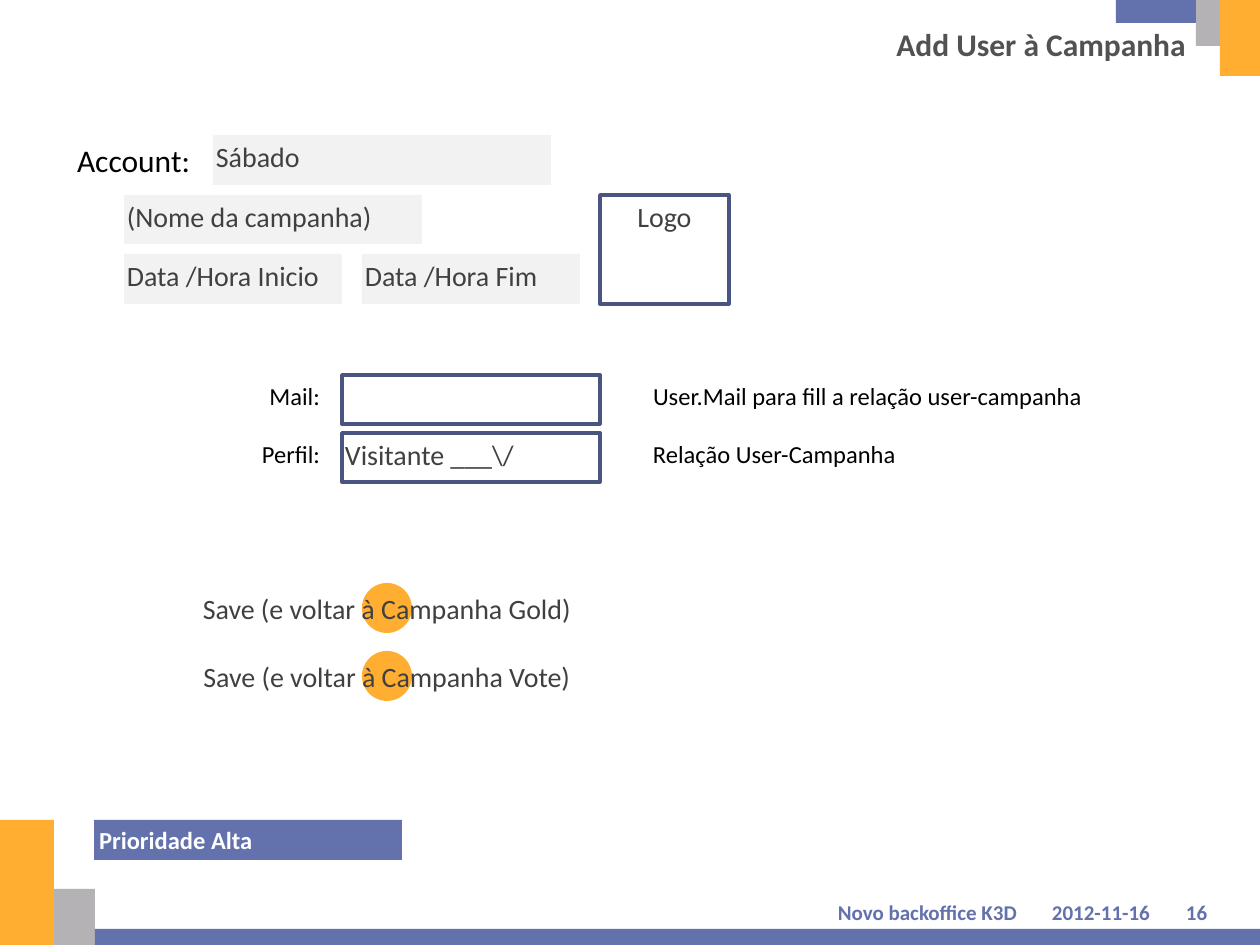
import pptx
import pptx.util
import pptx.dml.color
import pptx.enum.shapes
import pptx.enum.text

RGB = pptx.dml.color.RGBColor
ORANGE = RGB(0xFF, 0xAE, 0x31)
GREY = RGB(0xB5, 0xB2, 0xB5)
BLUE = RGB(0x63, 0x71, 0xAD)
NAVY = RGB(0x49, 0x54, 0x80)
FIELD = RGB(0xF2, 0xF2, 0xF2)
TITLE = RGB(0x52, 0x52, 0x52)
DARK = RGB(0x40, 0x40, 0x40)
BLACK = RGB(0, 0, 0)
WHITE = RGB(0xFF, 0xFF, 0xFF)

SHAPE = pptx.enum.shapes.MSO_SHAPE
ANCHOR = pptx.enum.text.MSO_ANCHOR
ALIGN = pptx.enum.text.PP_ALIGN
LEFT, CENTER, RIGHT = ALIGN.LEFT, ALIGN.CENTER, ALIGN.RIGHT
PX = 914400 / 126


def add_shape(box, fill=None, kind=SHAPE.RECTANGLE):
    sp = s.shapes.add_shape(kind, *[round(v * PX) for v in box])
    sp.shadow.inherit = False
    if fill is None:
        sp.fill.background()
        sp.line.color.rgb = NAVY
        sp.line.width = pptx.util.Pt(2)
    else:
        sp.fill.solid()
        sp.fill.fore_color.rgb = fill
        sp.line.fill.background()
    return sp


def write(sp, text, size, color, align=LEFT, bold=False, insets=(13, 6, 13, 6),
          anchor=ANCHOR.TOP, wrap=True):
    tf = sp.text_frame
    tf.word_wrap = wrap
    tf.vertical_anchor = anchor
    tf.margin_left, tf.margin_top, tf.margin_right, tf.margin_bottom = [
        round(v * PX) for v in insets]
    p = tf.paragraphs[0]
    p.alignment = align
    r = p.add_run()
    r.text = text
    r.font.name = "Calibri"
    r.font.size = pptx.util.Pt(size)
    r.font.bold = bold
    r.font.color.rgb = color


prs = pptx.Presentation()
prs.slide_width = pptx.util.Inches(10)
prs.slide_height = pptx.util.Inches(7.5)
s = prs.slides.add_slide(prs.slide_layouts[5])

for box, fill in [
    ((0, 820, 54, 125), ORANGE),
    ((54, 889, 41, 56), GREY),
    ((95, 929, 1165, 16), BLUE),
    ((1220, 0, 40, 76), ORANGE),
    ((1196, 0, 24, 46), GREY),
    ((1116, 0, 80, 23), BLUE),
]:
    add_shape(box, fill)

title = s.shapes.title
title.left, title.top, title.width, title.height = [
    round(v * PX) for v in (602, 19, 597, 49)]
write(title, "Add User à Campanha", 18, TITLE, RIGHT, True, anchor=ANCHOR.MIDDLE)

for left, width, text, align in [
    (1037, 128, "2012-11-16", CENTER),
    (779, 248, "Novo backoffice K3D", RIGHT),
    (1176, 49, "16", LEFT),
]:
    sp = s.shapes.add_textbox(*[round(v * PX) for v in (left, 890, width, 35)])
    write(sp, text, 12, BLUE, align, True, (10, 10, 10, 0), ANCHOR.MIDDLE)

for box, fill, text, align in [
    ((213, 135, 338, 50), FIELD, "Sábado", LEFT),
    ((124, 195, 298, 49), FIELD, "(Nome da campanha)", LEFT),
    ((124, 254, 218, 50), FIELD, "Data /Hora Inicio", LEFT),
    ((362, 254, 218, 50), FIELD, "Data /Hora Fim", LEFT),
    ((600, 195, 129, 109), None, "Logo", CENTER),
    ((342, 375, 258, 49), None, "", LEFT),
    ((342, 433, 258, 49), None, "Visitante ___\\/", LEFT),
]:
    sp = add_shape(box, fill)
    if text:
        write(sp, text, 16, DARK, align, insets=(3, 5, 3, 5))

for box, text, size, align in [
    ((44, 135, 159, 50), "Account:", 18, RIGHT),
    ((174, 375, 159, 43), "Mail:", 14, RIGHT),
    ((174, 433, 159, 43), "Perfil:", 14, RIGHT),
    ((640, 375, 486, 43), "User.Mail para fill a relação user-campanha", 14, LEFT),
    ((640, 433, 456, 43), "Relação User-Campanha", 14, LEFT),
]:
    sp = s.shapes.add_textbox(*[round(v * PX) for v in box])
    write(sp, text, size, BLACK, align)

for top, target in [(583, "Gold"), (651, "Vote")]:
    sp = add_shape((362, top, 50, 50), ORANGE, SHAPE.OVAL)
    write(sp, f"Save (e voltar à Campanha {target})", 16, DARK, CENTER,
          insets=(5, 5, 5, 5), anchor=ANCHOR.MIDDLE, wrap=False)

sp = add_shape((94, 820, 308, 40), BLUE)
write(sp, "Prioridade Alta", 14, WHITE, bold=True, insets=(5, 5, 5, 5))

prs.save("out.pptx")
